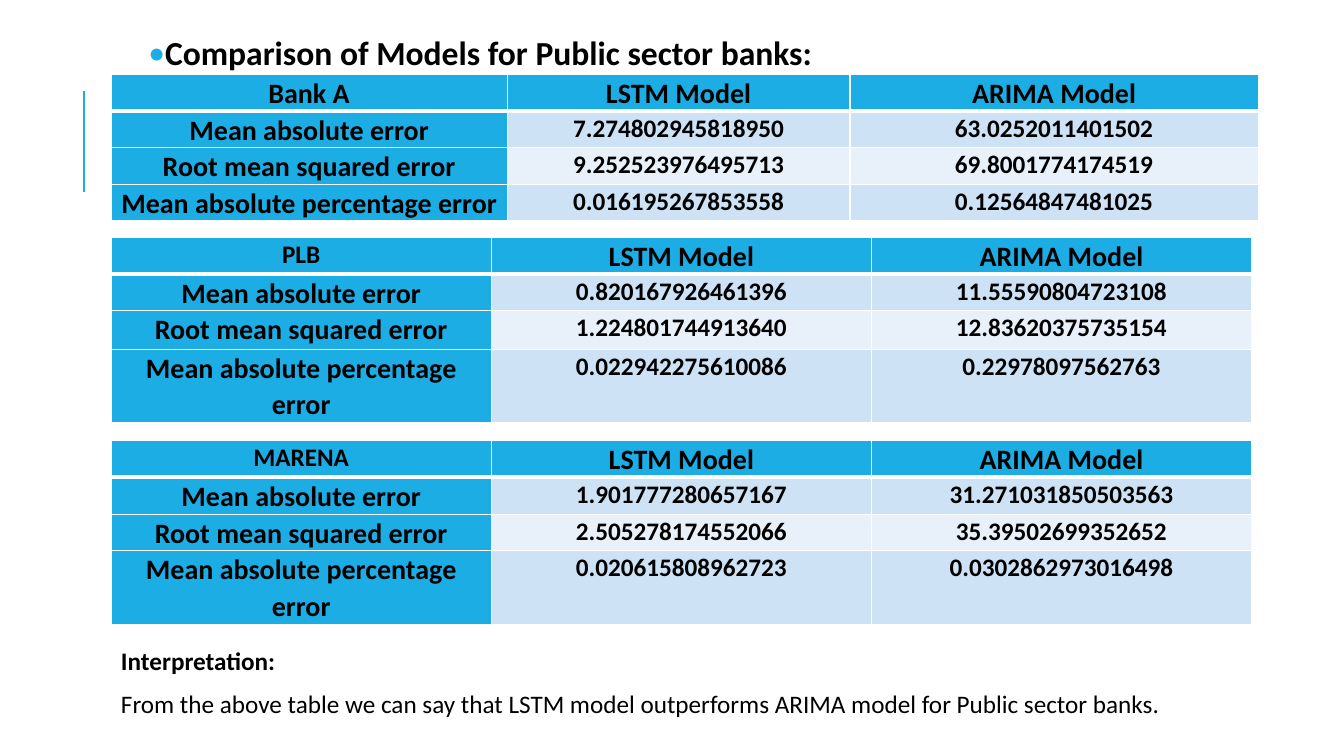
from lxml import etree
from pptx import Presentation
from pptx import util as u
from pptx.dml.color import RGBColor
from pptx.enum import shapes, text
from pptx.oxml import ns

COLORS = {
    "accent": "1CADE4",
    "band_dark": "CDE3F5",
    "band_light": "E8F1FA",
    "border": "FFFFFF",
    "text": "000000",
}
MODELS = ["LSTM Model", "ARIMA Model"]
METRICS = ["Mean absolute error", "Root mean squared error", "Mean absolute percentage error"]
WIDE_COLUMNS = [9.98, 8.64, 10.29]
EVEN_COLUMNS = [9.58] * 3
ROW = 0.92
BANKS = [
    ("Bank A", 20, 1.88, WIDE_COLUMNS, [ROW] * 4, [
        ("7.274802945818950", "63.0252011401502"),
        ("9.252523976495713", "69.8001774174519"),
        ("0.016195267853558", "0.12564847481025"),
    ]),
    ("PLB", 18, 5.99, EVEN_COLUMNS, [ROW, ROW, 0.97, 1.85], [
        ("0.820167926461396", "11.55590804723108"),
        ("1.224801744913640", "12.83620375735154"),
        ("0.022942275610086", "0.22978097562763"),
    ]),
    ("MARENA", 18, 11.1, EVEN_COLUMNS, [ROW, 0.94, ROW, 1.85], [
        ("1.901777280657167", "31.271031850503563"),
        ("2.505278174552066", "35.39502699352652"),
        ("0.020615808962723", "0.0302862973016498"),
    ]),
]


def color(name):
    return RGBColor.from_string(COLORS[name])


def write_run(paragraph, words, size, bold=True):
    run = paragraph.add_run()
    run.text = words
    run.font.name = "Calibri"
    run.font.size = u.Pt(size)
    run.font.bold = bold
    run.font.color.rgb = color("text")


def space(paragraph, line, before, after):
    paragraph.line_spacing = line
    paragraph.space_before = u.Pt(before)
    paragraph.space_after = u.Pt(after)


def add_text_frame(slide, left, top, width, height):
    shape = slide.shapes.add_textbox(u.Cm(left), u.Cm(top), u.Cm(width), u.Cm(height))
    shape.text_frame.word_wrap = True
    return shape.text_frame


def add_accent_line(slide, left, top, height):
    line = slide.shapes.add_connector(
        shapes.MSO_CONNECTOR.STRAIGHT, u.Cm(left), u.Cm(top + height), u.Cm(left), u.Cm(top))
    line.line.color.rgb = color("accent")
    line.line.width = u.Pt(1.5)
    etree.SubElement(line._element.spPr, ns.qn("a:effectLst"))


def add_heading(slide, left, top, width, height):
    frame = add_text_frame(slide, left, top, width, height)
    frame.margin_left = frame.margin_right = u.Cm(0.13)
    frame.margin_top = frame.margin_bottom = u.Cm(0.13)
    paragraph = frame.paragraphs[0]
    space(paragraph, 0.9, 2, 4)
    properties = paragraph._p.get_or_add_pPr()
    properties.set("marL", str(u.Cm(1.65)))
    properties.set("indent", str(u.Cm(-0.38)))
    bullet_color = etree.SubElement(properties, ns.qn("a:buClr"))
    etree.SubElement(bullet_color, ns.qn("a:srgbClr"), val=COLORS["accent"])
    etree.SubElement(properties, ns.qn("a:buFont"), typeface="Calibri")
    etree.SubElement(properties, ns.qn("a:buChar"), char="•")
    write_run(paragraph, "Comparison of Models for Public sector banks:", 24)


def set_borders(cell, row):
    properties = cell._tc.get_or_add_tcPr()
    widths = {"L": 1, "R": 1, "T": 3 if row == 1 else 1, "B": 3 if row == 0 else 1}
    for side, width in widths.items():
        border = etree.SubElement(properties, ns.qn(f"a:ln{side}"), w=str(u.Pt(width)))
        fill = etree.SubElement(border, ns.qn("a:solidFill"))
        etree.SubElement(fill, ns.qn("a:srgbClr"), val=COLORS["border"])


def fill_cell(cell, words, size, row, fill):
    set_borders(cell, row)
    cell.fill.solid()
    cell.fill.fore_color.rgb = color(fill)
    cell.margin_left = cell.margin_right = u.Cm(0.18)
    cell.margin_top = cell.margin_bottom = 0
    paragraph = cell.text_frame.paragraphs[0]
    paragraph.alignment = text.PP_ALIGN.CENTER
    space(paragraph, 1.07, 0, 8)
    write_run(paragraph, words, size)


def add_bank_table(slide, left, top, widths, heights, bank, bank_size, values):
    rows = [[bank, *MODELS]] + [[metric, *pair] for metric, pair in zip(METRICS, values)]
    table = slide.shapes.add_table(
        len(rows), len(widths), u.Cm(left), u.Cm(top),
        u.Cm(sum(widths)), u.Cm(sum(heights))).table
    for column, width in zip(table.columns, widths):
        column.width = u.Cm(width)
    for row, cells in enumerate(rows):
        table.rows[row].height = u.Cm(heights[row])
        for column, words in enumerate(cells):
            is_label = row == 0 or column == 0
            band = "band_dark" if row % 2 else "band_light"
            size = bank_size if row == column == 0 else 20 if is_label else 18
            fill_cell(table.cell(row, column), words, size, row, "accent" if is_label else band)


def add_interpretation(slide, left, top, width, height):
    frame = add_text_frame(slide, left, top, width, height)
    lines = [
        ("Interpretation:", True),
        ("From the above table we can say that LSTM model outperforms ARIMA model"
         " for Public sector banks.", False),
    ]
    for index, (words, bold) in enumerate(lines):
        paragraph = frame.add_paragraph() if index else frame.paragraphs[0]
        paragraph.alignment = text.PP_ALIGN.JUSTIFY
        space(paragraph, 1.07, 0, 8)
        write_run(paragraph, words, 18, bold)


def main():
    presentation = Presentation()
    presentation.slide_width = u.Cm(33.87)
    presentation.slide_height = u.Cm(19.05)
    slide = presentation.slides.add_slide(presentation.slide_layouts[6])
    add_accent_line(slide, 2.11, 2.29, 2.54)
    add_heading(slide, 2.34, 0.79, 29.21, 16.36)
    for bank, bank_size, top, widths, heights, values in BANKS:
        add_bank_table(slide, 2.8, top, widths, heights, bank, bank_size, values)
    add_interpretation(slide, 2.8, 16.08, 28.93, 2.16)
    presentation.save("out.pptx")


if __name__ == "__main__":
    main()
